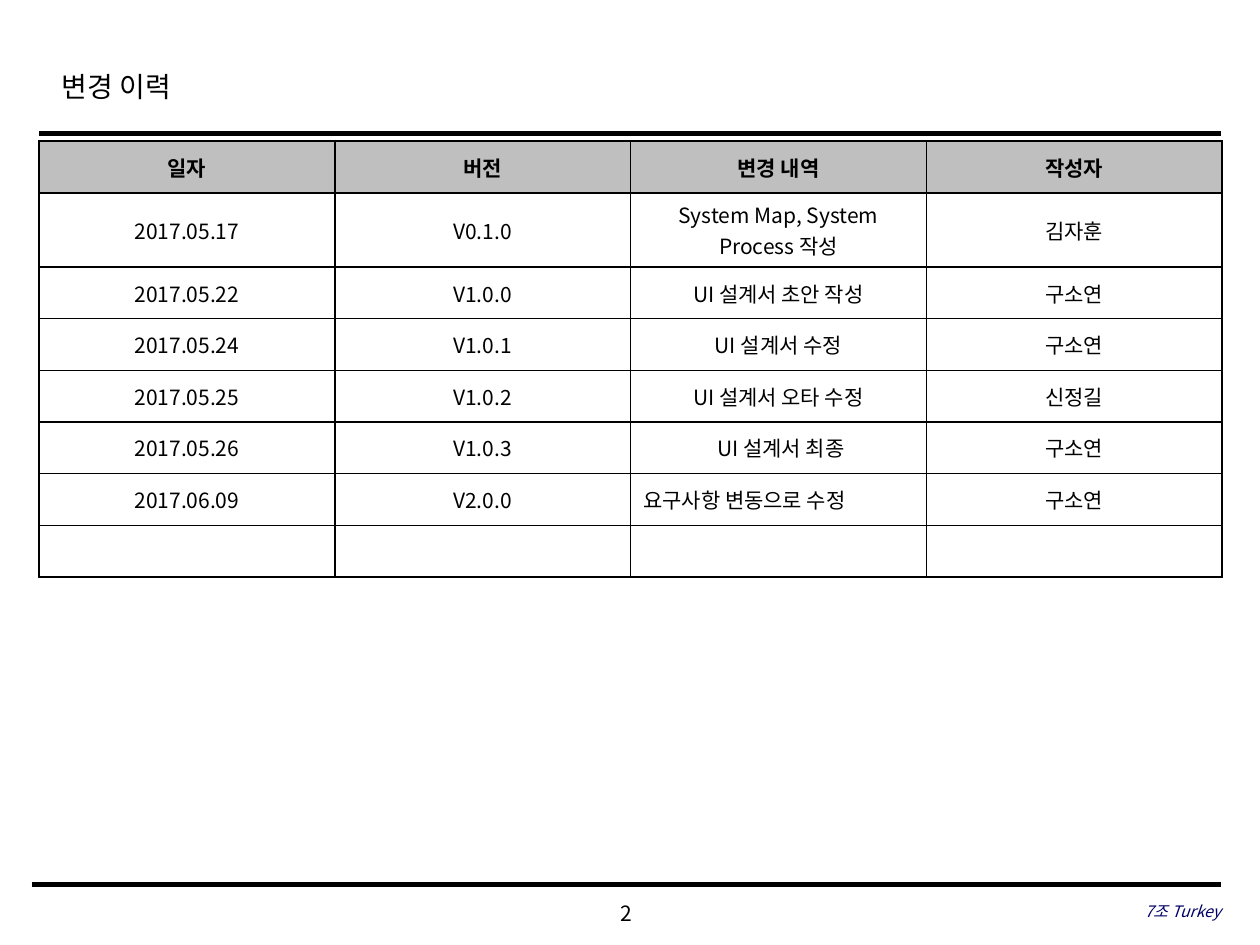
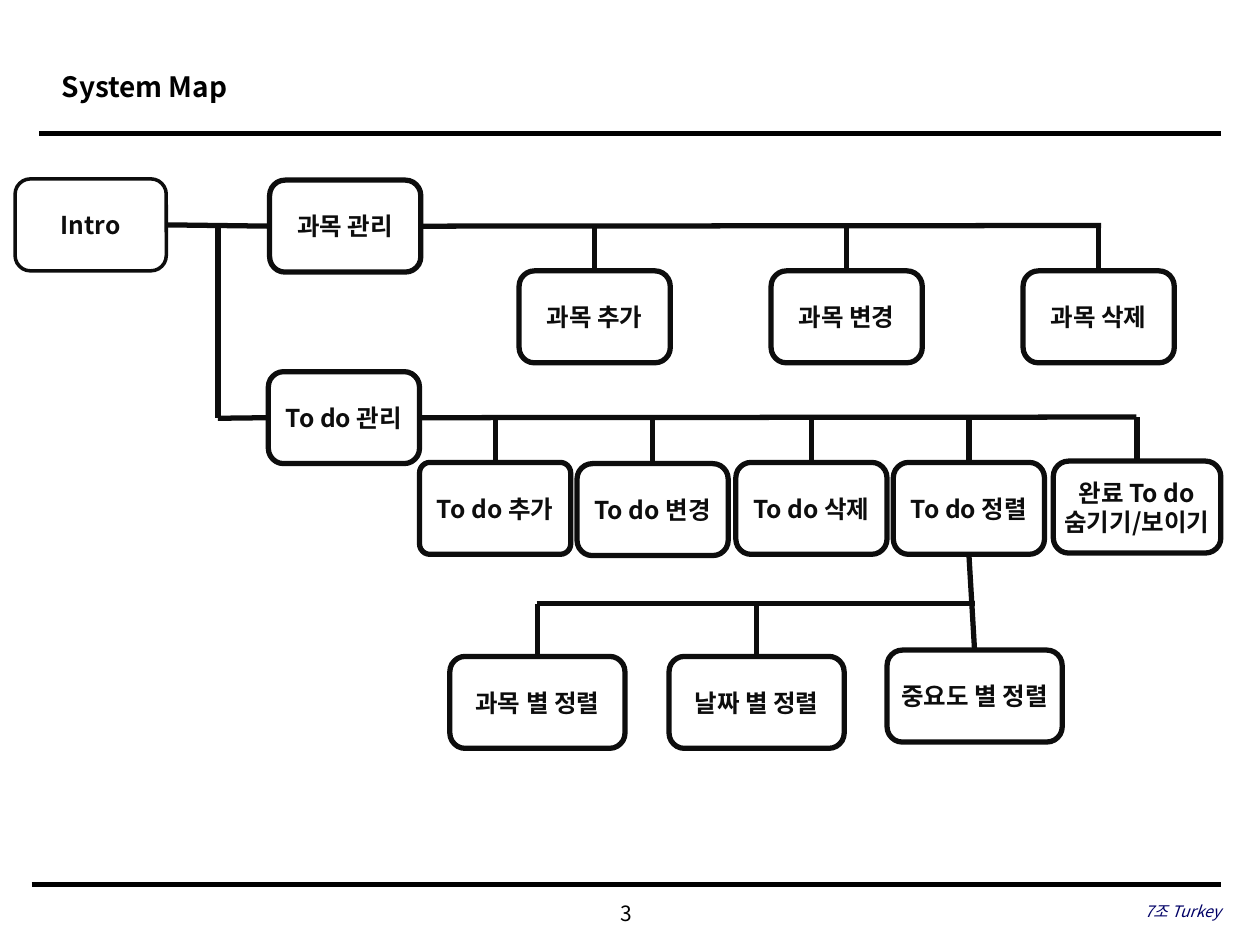
import lxml.etree
import pptx
import pptx.dml.color
import pptx.enum.shapes
import pptx.enum.text
import pptx.oxml.ns
import pptx.util

Inches = pptx.util.Inches
Align = pptx.enum.text.PP_ALIGN
Anchor = pptx.enum.text.MSO_ANCHOR
qn = pptx.oxml.ns.qn


class Theme:
    font = "Noto Sans CJK KR"
    black, ink, navy = "000000", "0D0D0D", "000066"
    head, white = "BFBFBF", "FFFFFF"
    title, node, cell, foot = 16, 14, 12, 9
    thin, rule, thick = 2, 2.5, 3


def write(para, text, size, color, align=Align.CENTER, bold=False, italic=False):
    para.alignment = align
    run = para.add_run()
    run.text = text
    font = run.font
    font.name, font.size = Theme.font, pptx.util.Pt(size)
    font.bold, font.italic = bold, italic
    font.color.rgb = pptx.dml.color.RGBColor.from_string(color)
    # East Asian letters take their own typeface entry
    lxml.etree.SubElement(run._r.get_or_add_rPr(), qn("a:ea"), typeface=Theme.font)


def link(slide, start, end, color=Theme.ink, width=Theme.thick):
    """Draw a line; an end is a point in inches or a (shape, side) pair."""
    ends = [(0, 0) if hasattr(e[0], "shape_id") else e for e in (start, end)]
    line = slide.shapes.add_connector(
        pptx.enum.shapes.MSO_CONNECTOR.STRAIGHT,
        *[Inches(v) for e in ends for v in e])
    for spot, join in ((start, line.begin_connect), (end, line.end_connect)):
        if hasattr(spot[0], "shape_id"):
            join(*spot)
    line.line.color.rgb = pptx.dml.color.RGBColor.from_string(color)
    line.line.width = pptx.util.Pt(width)
    lxml.etree.SubElement(line._element.spPr, qn("a:effectLst"))


deck = pptx.Presentation()
deck.slide_width, deck.slide_height = Inches(10), Inches(7.5)

# Shared frame: title, rules, page number, team name
slides = []
for page, (name, bold) in enumerate([("변경 이력", False), ("System Map", True)], start=2):
    slide = deck.slides.add_slide(deck.slide_layouts[5])
    slides.append(slide)
    link(slide, (0.31, 1.06), (9.69, 1.06), Theme.black, Theme.rule)
    link(slide, (0.25, 7.02), (9.69, 7.02), Theme.black, Theme.thick)

    title = slide.shapes.title
    title.left, title.top = Inches(0.39), Inches(0.49)
    title.width, title.height = Inches(7.55), Inches(0.5)
    frame = title.text_frame
    frame.auto_size = pptx.enum.text.MSO_AUTO_SIZE.NONE
    frame.vertical_anchor = Anchor.TOP
    frame.margin_top = Inches(0.01)
    frame.paragraphs[0].line_spacing = 1.2
    write(frame.paragraphs[0], name, Theme.title, Theme.black, Align.LEFT, bold)

    for text, x, y, w, size, color, align, slant in [
        (str(page), 3.93, 7.08, 2.08, Theme.cell, Theme.black, Align.CENTER, False),
        ("7조 Turkey", 6.63, 7.07, 3.06, Theme.foot, Theme.navy, Align.RIGHT, True),
    ]:
        box = slide.shapes.add_textbox(Inches(x), Inches(y), Inches(w), Inches(0.33))
        frame = box.text_frame
        frame.word_wrap = True
        frame.vertical_anchor = Anchor.MIDDLE
        frame.margin_left = frame.margin_right = 0
        frame.margin_top = frame.margin_bottom = 0
        write(frame.paragraphs[0], text, size, color, align, italic=slant)

log, chart = slides

# Change log table; the first entry holds two lines
rows = [
    ("일자", "버전", "변경 내역", "작성자"),
    ("2017.05.17", "V0.1.0", "System Map, System Process 작성", "김자훈"),
    ("2017.05.22", "V1.0.0", "UI 설계서 초안 작성", "구소연"),
    ("2017.05.24", "V1.0.1", "UI 설계서 수정", "구소연"),
    ("2017.05.25", "V1.0.2", "UI 설계서 오타 수정", "신정길"),
    ("2017.05.26", "V1.0.3", " UI 설계서 최종", "구소연"),
    ("2017.06.09", "V2.0.0", "요구사항 변동으로 수정", "구소연"),
    ("", "", "", ""),
]
highs = [0.59 if r == 1 else 0.41 for r in range(len(rows))]
table = log.shapes.add_table(
    len(rows), 4, Inches(0.31), Inches(1.12),
    Inches(9.39), Inches(sum(highs))).table
table.horz_banding = False
for r, row in enumerate(rows):
    table.rows[r].height = Inches(highs[r])
    for c, text in enumerate(row):
        cell = table.cell(r, c)
        cell.vertical_anchor = Anchor.MIDDLE
        align = Align.LEFT if (r, c) == (6, 2) else Align.CENTER
        write(cell.text_frame.paragraphs[0], text, Theme.cell, Theme.black,
              align, bold=r == 0)
        for side in ("a:lnL", "a:lnR", "a:lnT", "a:lnB"):
            edge = lxml.etree.SubElement(
                cell._tc.get_or_add_tcPr(), qn(side), w=str(pptx.util.Pt(1)))
            fill = lxml.etree.SubElement(edge, qn("a:solidFill"))
            lxml.etree.SubElement(fill, qn("a:srgbClr"), val=Theme.black)
        cell.fill.solid()
        cell.fill.fore_color.rgb = pptx.dml.color.RGBColor.from_string(
            Theme.white if r else Theme.head)

# System map boxes: text, left, top, width
nodes = {}
for text, x, y, w in [
    ("Intro", 0.12, 1.42, 1.2),
    ("과목 관리", 2.14, 1.43, 1.2),
    ("To do 관리", 2.13, 2.95, 1.2),
    ("과목 추가", 4.12, 2.15, 1.2),
    ("과목 변경", 6.12, 2.15, 1.2),
    ("과목 삭제", 8.12, 2.15, 1.2),
    ("To do 추가", 3.33, 3.67, 1.2),
    ("To do 변경", 4.58, 3.68, 1.2),
    ("To do 삭제", 5.84, 3.67, 1.2),
    ("To do 정렬", 7.09, 3.67, 1.2),
    ("완료 To do\n숨기기/보이기", 8.36, 3.66, 1.33),
    ("과목 별 정렬", 3.57, 5.21, 1.39),
    ("날짜 별 정렬", 5.31, 5.21, 1.39),
    ("중요도 별 정렬", 7.04, 5.16, 1.39),
]:
    node = chart.shapes.add_shape(
        pptx.enum.shapes.MSO_SHAPE.ROUNDED_RECTANGLE,
        Inches(x), Inches(y), Inches(w), Inches(0.73))
    node.shadow.inherit = False
    node.fill.background()
    node.line.color.rgb = pptx.dml.color.RGBColor.from_string(Theme.ink)
    node.line.width = pptx.util.Pt(Theme.thin if text == "Intro" else Theme.thick)
    frame = node.text_frame
    frame.word_wrap = False
    frame.vertical_anchor = Anchor.MIDDLE
    for i, part in enumerate(text.split("\n")):
        para = frame.add_paragraph() if i else frame.paragraphs[0]
        write(para, part, Theme.node, Theme.ink, bold=True)
    nodes[text] = node
nodes["To do 추가"].adjustments[0] = 0.114

# Trunk from the intro to both branches
course, todo = nodes["과목 관리"], nodes["To do 관리"]
link(chart, (nodes["Intro"], 3), (course, 1))
link(chart, (1.73, 1.79), (1.73, 3.32))
link(chart, (1.73, 3.32), (todo, 1))

# Rails, then a drop from each rail to its boxes
link(chart, (course, 3), (8.74, 1.79))
link(chart, (todo, 3), (9.02, 3.31))
link(chart, (4.26, 4.79), (7.74, 4.79))
for rail, names in [
    (1.79, ["과목 추가", "과목 변경", "과목 삭제"]),
    (3.31, ["To do 추가", "To do 변경", "To do 삭제", "To do 정렬",
            "완료 To do\n숨기기/보이기"]),
    (4.79, ["과목 별 정렬", "날짜 별 정렬"]),
]:
    for name in names:
        node = nodes[name]
        mid = pptx.util.Emu(node.left + node.width // 2).inches
        link(chart, (node, 0), (mid, rail))
link(chart, (nodes["To do 정렬"], 2), (nodes["중요도 별 정렬"], 0))

deck.save("out.pptx")
